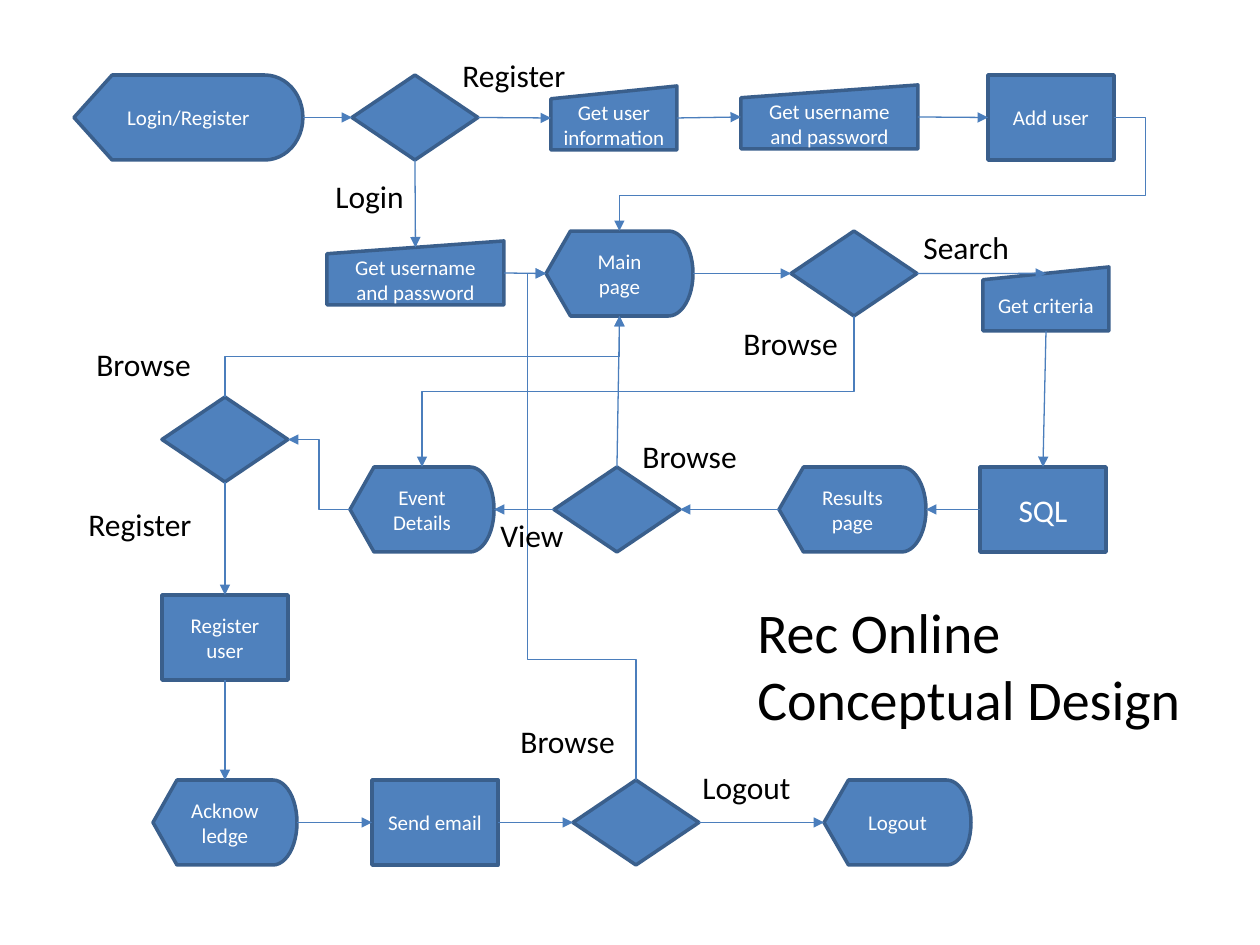
import pptx
import pptx.util
import pptx.dml.color
import pptx.enum.shapes
import pptx.enum.text
import pptx.oxml
import pptx.oxml.ns

SHAPE = pptx.enum.shapes.MSO_SHAPE
CONNECTOR = pptx.enum.shapes.MSO_CONNECTOR
TEXT = pptx.enum.text
FONT = "Calibri"
FILL, OUTLINE, ARROW = "4F81BD", "3A5F8C", "4B7EBC"
TOP, LEFT, BOTTOM, RIGHT = range(4)

DISPLAY, DECISION = SHAPE.FLOWCHART_DISPLAY, SHAPE.FLOWCHART_DECISION
PROCESS, INPUT = SHAPE.FLOWCHART_PROCESS, SHAPE.FLOWCHART_MANUAL_INPUT
HEIGHTS = {DISPLAY: 85, DECISION: 85, PROCESS: 85, INPUT: 64}

# name: (kind, left, top, width, text, size)
STEPS = {
    "start": (DISPLAY, 74, 75, 229, "Login/Register", 12),
    "has account": (DECISION, 352, 75, 126, "", 12),
    "user information": (INPUT, 551, 86, 126, "Get user information", 12),
    "new credentials": (INPUT, 741, 85, 177, "Get username and password", 12),
    "add user": (PROCESS, 988, 75, 126, "Add user", 12),
    "credentials": (INPUT, 327, 241, 177, "Get username and password", 12),
    "main": (DISPLAY, 546, 231, 147, "Main page", 12),
    "main choice": (DECISION, 791, 231, 126, "", 12),
    "criteria": (INPUT, 983, 267, 126, "Get criteria", 12),
    "sql": (PROCESS, 980, 467, 126, "SQL", 18),
    "results": (DISPLAY, 779, 467, 147, "Results page", 12),
    "results choice": (DECISION, 554, 467, 126, "", 12),
    "event": (DISPLAY, 350, 467, 144, "Event Details", 12),
    "event choice": (DECISION, 162, 397, 126, "", 12),
    "register": (PROCESS, 162, 595, 126, "Register user", 12),
    "acknowledge": (DISPLAY, 153, 780, 144, "Acknowledge", 12),
    "email": (PROCESS, 372, 780, 126, "Send email", 12),
    "final choice": (DECISION, 573, 780, 126, "", 12),
    "logout": (DISPLAY, 824, 780, 147, "Logout", 12),
}

STRAIGHT = [
    ("start", RIGHT, "has account", LEFT),
    ("has account", RIGHT, "user information", LEFT),
    ("user information", RIGHT, "new credentials", LEFT),
    ("new credentials", RIGHT, "add user", LEFT),
    ("has account", BOTTOM, "credentials", TOP),
    ("credentials", RIGHT, "main", LEFT),
    ("main", RIGHT, "main choice", LEFT),
    ("main choice", RIGHT, "criteria", TOP),
    ("criteria", BOTTOM, "sql", TOP),
    ("sql", LEFT, "results", RIGHT),
    ("results", LEFT, "results choice", RIGHT),
    ("results choice", LEFT, "event", RIGHT),
    ("results choice", TOP, "main", BOTTOM),
    ("event choice", BOTTOM, "register", TOP),
    ("register", BOTTOM, "acknowledge", TOP),
    ("acknowledge", RIGHT, "email", LEFT),
    ("email", RIGHT, "final choice", LEFT),
    ("final choice", RIGHT, "logout", LEFT),
]

# start, side, end, side, rotation, flips, bends in thousandths
BENT = [
    ("add user", RIGHT, "main", TOP, 0, "H", (-64, 687)),
    ("main choice", BOTTOM, "event", TOP, 90, "", (500,)),
    ("event choice", TOP, "main", BOTTOM, 90, "HV", (500,)),
    ("event", LEFT, "event choice", RIGHT, 180, "", (500,)),
    ("final choice", TOP, "main", LEFT, 270, "V", (238, 1204)),
]

# text, left, top, width
LABELS = [
    ("Register", 450, 50, 130), ("Login", 323, 171, 94),
    ("Search", 911, 222, 112), ("Browse", 731, 318, 121),
    ("Browse", 630, 431, 121), ("Register", 76, 499, 130),
    ("View", 488, 510, 89), ("Browse", 84, 339, 121),
    ("Browse", 508, 716, 121), ("Logout", 690, 762, 115),
]


def px(length):
    return pptx.util.Emu(round(length * 914400 / 126))


def color(hex_code):
    return pptx.dml.color.RGBColor.from_string(hex_code)


def style_text(frame, size, hex_code, align):
    for para in frame.paragraphs:
        para.alignment = align
        for span in para.runs:
            span.font.name = FONT
            span.font.size = pptx.util.Pt(size)
            span.font.color.rgb = color(hex_code)


def add_step(page, kind, left, top, width, text, size):
    box = page.shapes.add_shape(kind, px(left), px(top), px(width), px(HEIGHTS[kind]))
    box.shadow.inherit = False
    box.fill.solid()
    box.fill.fore_color.rgb = color(FILL)
    box.line.color.rgb = color(OUTLINE)
    box.line.width = pptx.util.Pt(2)
    if text:
        box.text_frame.text = text
        box.text_frame.vertical_anchor = TEXT.MSO_ANCHOR.MIDDLE
        style_text(box.text_frame, size, "FFFFFF", TEXT.PP_ALIGN.CENTER)
    return box


def side_point(box, side):
    """Middle of a side; the sloping top of a manual input lies a tenth lower."""
    x = box.left + (0, 0, 0, box.width)[side] if side in (LEFT, RIGHT) else box.left + box.width // 2
    y = box.top + (0, 0, box.height, 0)[side] if side in (TOP, BOTTOM) else box.top + box.height // 2
    if side == TOP and box.auto_shape_type == INPUT:
        y += box.height // 10
    return x, y


def style_arrow(arrow):
    arrow.line.color.rgb = color(ARROW)
    arrow.line.width = pptx.util.Pt(0.75)
    pptx.oxml.ns.qn("a:tailEnd")
    tail = pptx.oxml.parse_xml(
        f'<a:tailEnd {pptx.oxml.ns.nsdecls("a")} type="triangle"/>')
    arrow.line._get_or_add_ln().append(tail)
    arrow._element.spPr.append(
        pptx.oxml.parse_xml(f'<a:effectLst {pptx.oxml.ns.nsdecls("a")}/>'))


def add_straight(page, start, start_side, end, end_side):
    arrow = page.shapes.add_connector(CONNECTOR.STRAIGHT, 0, 0, 0, 0)
    arrow.begin_connect(start, start_side)
    arrow.end_connect(end, end_side)
    arrow.end_x, arrow.end_y = side_point(end, end_side)
    style_arrow(arrow)


def add_bent(page, start, start_side, end, end_side, rotation, flips, bends):
    """Elbow arrow whose frame is turned about the middle of its two ends."""
    x1, y1 = side_point(start, start_side)
    x2, y2 = side_point(end, end_side)
    width, height = abs(x2 - x1), abs(y2 - y1)
    if rotation in (90, 270):
        width, height = height, width
    left, top = (x1 + x2 - width) // 2, (y1 + y2 - height) // 2
    arrow = page.shapes.add_connector(
        CONNECTOR.ELBOW, left, top, left + width, top + height)
    frame = arrow._element.spPr.xfrm
    frame.set("rot", str(rotation * 60000))
    for flip in flips:
        frame.set("flip" + flip, "1")
    geometry = arrow._element.spPr.find(pptx.oxml.ns.qn("a:prstGeom"))
    geometry.set("prst", f"bentConnector{len(bends) + 2}")
    guides = "".join(f'<a:gd name="adj{i}" fmla="val {bend * 100}"/>'
                     for i, bend in enumerate(bends, 1))
    for child in list(geometry):
        geometry.remove(child)
    geometry.append(pptx.oxml.parse_xml(
        f'<a:avLst {pptx.oxml.ns.nsdecls("a")}>{guides}</a:avLst>'))
    style_arrow(arrow)


def add_label(page, text, left, top, width, height=51, size=18):
    box = page.shapes.add_textbox(px(left), px(top), px(width), px(height))
    box.text_frame.text = text
    box.text_frame.word_wrap = False
    box.text_frame.auto_size = TEXT.MSO_AUTO_SIZE.SHAPE_TO_FIT_TEXT
    style_text(box.text_frame, size, "000000", TEXT.PP_ALIGN.LEFT)


def build_flowchart(page):
    boxes = {name: add_step(page, *step) for name, step in STEPS.items()}
    for start, start_side, end, end_side in STRAIGHT:
        add_straight(page, boxes[start], start_side, boxes[end], end_side)
    for start, start_side, end, end_side, *route in BENT:
        add_bent(page, boxes[start], start_side, boxes[end], end_side, *route)
    for label in LABELS:
        add_label(page, *label)


def main():
    deck = pptx.Presentation()
    deck.slide_width, deck.slide_height = px(1260), px(945)
    page = deck.slides.add_slide(deck.slide_layouts[6])
    build_flowchart(page)
    add_label(page, "Rec Online\nConceptual Design", 745, 591, 454, 149, 32)
    deck.save("out.pptx")


if __name__ == "__main__":
    main()
